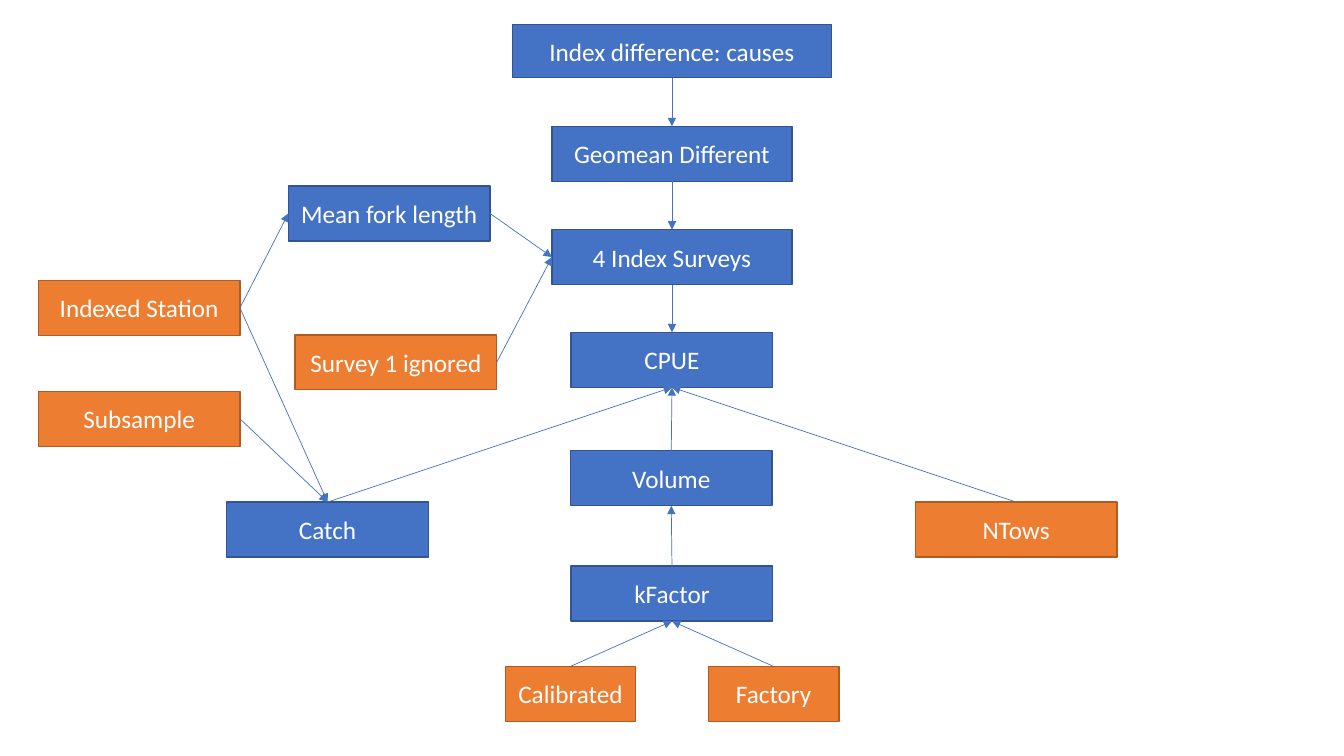
from typing import NamedTuple

from lxml import etree
from pptx import Presentation
from pptx.dml.color import RGBColor
from pptx.enum.shapes import MSO_CONNECTOR, MSO_SHAPE
from pptx.enum.text import MSO_ANCHOR, MSO_AUTO_SIZE, PP_ALIGN
from pptx.oxml.ns import qn
from pptx.util import Pt

RECTANGLE = MSO_SHAPE.RECTANGLE
STRAIGHT = MSO_CONNECTOR.STRAIGHT
MIDDLE = MSO_ANCHOR.MIDDLE
CENTER = PP_ALIGN.CENTER
NO_AUTOFIT = MSO_AUTO_SIZE.NONE

# Connection sites of a rectangle
TOP, LEFT, BOTTOM, RIGHT = range(4)

BLUE, DARK_BLUE = "4472C4", "325491"
ORANGE, DARK_ORANGE = "ED7D31", "AF5C24"
WHITE = "FFFFFF"

AXIS = 480
SIDE_CAUSES = 99.4
INDEX_WIDTH = 171.5
FACTOR_WIDTH = 93.2
HEADING = "Index difference: causes"


class Cause(NamedTuple):
    label: str
    center: float
    top: float
    width: float = 144
    height: float = 39.3
    is_root: bool = False


class Effect(NamedTuple):
    cause: str
    exit_site: int
    result: str
    entry_site: int


CAUSES = [
    Cause(HEADING, AXIS, 17.4, 227.5, 38),
    Cause("Geomean Different", AXIS, 90.2, INDEX_WIDTH),
    Cause("4 Index Surveys", AXIS, 164, INDEX_WIDTH),
    Cause("CPUE", AXIS, 237.4),
    Cause("Volume", 479.5, 322),
    Cause("kFactor", AXIS, 404.4),
    Cause("Catch", 234, 358.6),
    Cause("Mean fork length", 278, 132.8),
    Cause("NTows", 725.8, 358.6, is_root=True),
    Cause("Calibrated", 407.5, 476, FACTOR_WIDTH, is_root=True),
    Cause("Factory", 552.6, 476, FACTOR_WIDTH, is_root=True),
    Cause("Indexed Station", SIDE_CAUSES, 200.3, is_root=True),
    Cause("Subsample", SIDE_CAUSES, 279.5, is_root=True),
    Cause("Survey 1 ignored", 282.8, 239.2, is_root=True),
]

EFFECTS = [
    Effect(HEADING, BOTTOM, "Geomean Different", TOP),
    Effect("Geomean Different", BOTTOM, "4 Index Surveys", TOP),
    Effect("4 Index Surveys", BOTTOM, "CPUE", TOP),
    Effect("Catch", TOP, "CPUE", BOTTOM),
    Effect("Volume", TOP, "CPUE", BOTTOM),
    Effect("NTows", TOP, "CPUE", BOTTOM),
    Effect("kFactor", TOP, "Volume", BOTTOM),
    Effect("Calibrated", TOP, "kFactor", BOTTOM),
    Effect("Factory", TOP, "kFactor", BOTTOM),
    Effect("Indexed Station", RIGHT, "Catch", TOP),
    Effect("Indexed Station", RIGHT, "Mean fork length", LEFT),
    Effect("Subsample", RIGHT, "Catch", TOP),
    Effect("Mean fork length", RIGHT, "4 Index Surveys", LEFT),
    Effect("Survey 1 ignored", RIGHT, "4 Index Surveys", LEFT),
]


def paint(color_format, hex_color: str) -> None:
    color_format.rgb = RGBColor.from_string(hex_color)


def write_text(shape, text: str, *, size: float = 18, font: str = "Calibri",
               color: str = WHITE) -> None:
    frame = shape.text_frame
    frame.text = text
    frame.word_wrap = True
    frame.auto_size = NO_AUTOFIT
    frame.vertical_anchor = MIDDLE
    paragraph = frame.paragraphs[0]
    paragraph.alignment = CENTER
    letters = paragraph.runs[0].font
    letters.size = Pt(size)
    letters.name = font
    paint(letters.color, color)


def draw_cause(slide, cause: Cause):
    place = [Pt(length) for length in (cause.center - cause.width / 2,
                                       cause.top, cause.width, cause.height)]
    if cause.label == HEADING:
        box = slide.shapes.title
        box.left, box.top, box.width, box.height = place
    else:
        box = slide.shapes.add_shape(RECTANGLE, *place)
        box.shadow.inherit = False
    fill, outline = (ORANGE, DARK_ORANGE) if cause.is_root else (BLUE, DARK_BLUE)
    box.fill.solid()
    paint(box.fill.fore_color, fill)
    paint(box.line.color, outline)
    box.line.width = Pt(1)
    write_text(box, cause.label)
    return box


def draw_effect(slide, effect: Effect, boxes: dict) -> None:
    arrow = slide.shapes.add_connector(STRAIGHT, 0, 0, 0, 0)
    arrow.begin_connect(boxes[effect.cause], effect.exit_site)
    arrow.end_connect(boxes[effect.result], effect.entry_site)
    paint(arrow.line.color, BLUE)
    arrow.line.width = Pt(0.5)
    properties = arrow.element.spPr
    etree.SubElement(properties.find(qn("a:ln")), qn("a:tailEnd"), type="triangle")
    etree.SubElement(properties, qn("a:effectLst"))


def main() -> None:
    deck = Presentation()
    deck.slide_width, deck.slide_height = Pt(960), Pt(540)
    title_only = deck.slide_layouts[5]
    slide = deck.slides.add_slide(title_only)
    boxes = {cause.label: draw_cause(slide, cause) for cause in CAUSES}
    for effect in EFFECTS:
        draw_effect(slide, effect, boxes)
    deck.save("out.pptx")


if __name__ == "__main__":
    main()
